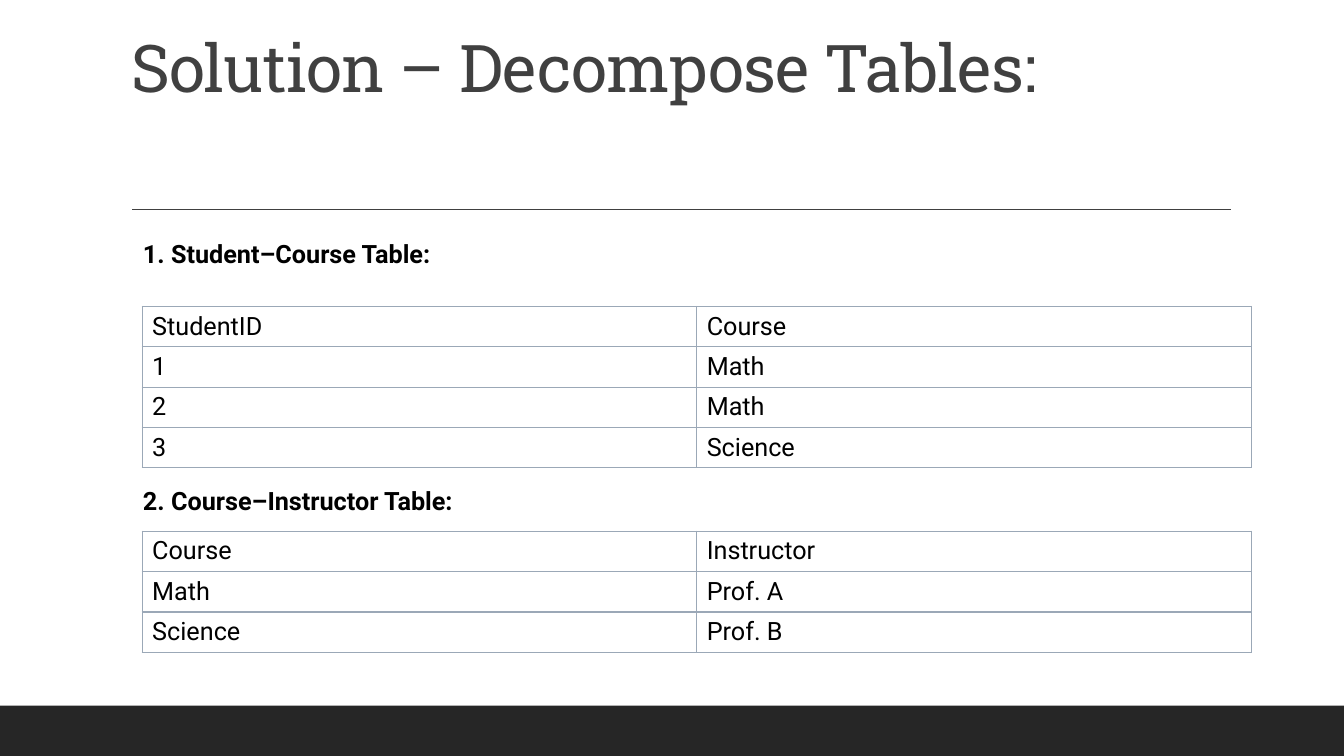
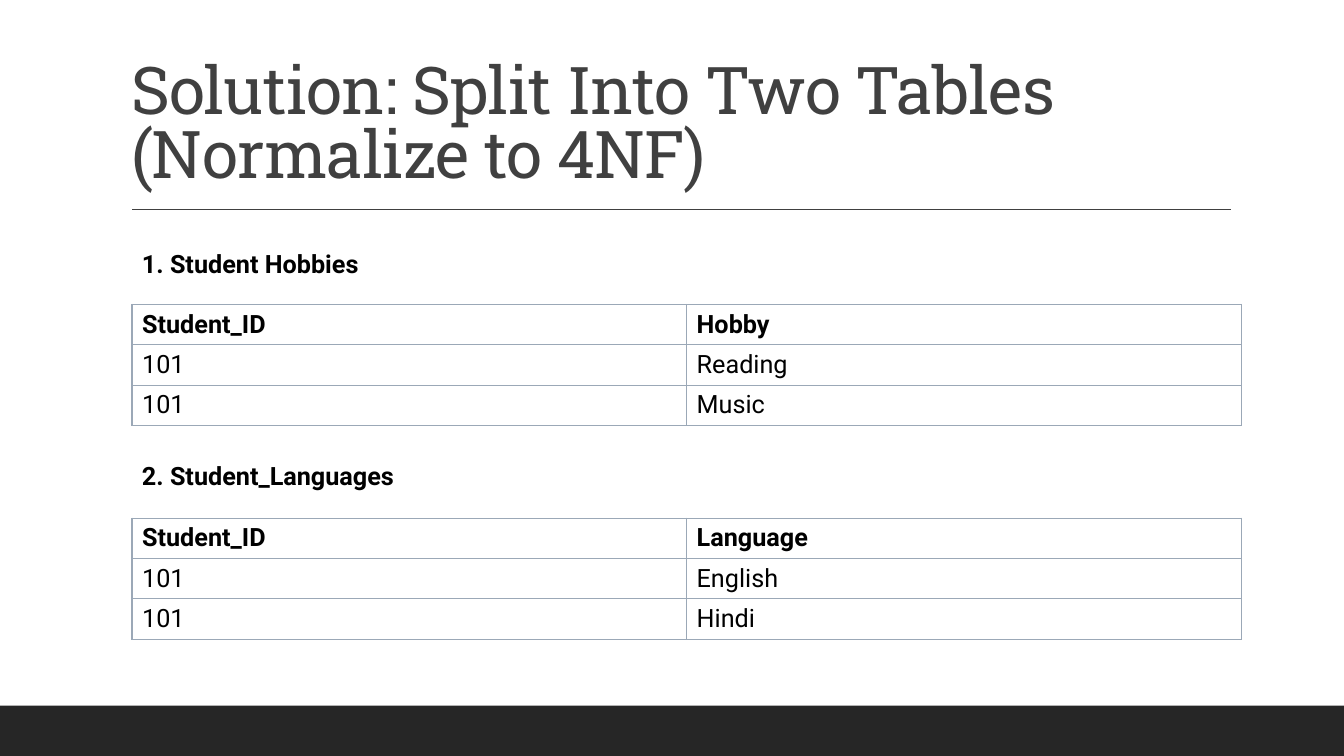
from lxml import etree
from pptx import Presentation
from pptx.dml.color import RGBColor
from pptx.enum.shapes import MSO_CONNECTOR, MSO_SHAPE
from pptx.enum.text import MSO_ANCHOR, MSO_AUTO_SIZE, PP_ALIGN
from pptx.oxml import parse_xml
from pptx.oxml.ns import nsdecls, qn
from pptx.util import Inches, Pt

BLACK = RGBColor(0x00, 0x00, 0x00)
TITLE_GRAY = RGBColor(0x40, 0x40, 0x40)
BAND_GRAY = RGBColor(0x26, 0x26, 0x26)
BORDER = RGBColor(0x9B, 0xA8, 0xB7)
TITLE_FONT, BODY_FONT = "Roboto Slab", "Roboto"

# Content: each section is (heading, heading left, heading top, table top, rows)
SLIDES = [
    {
        "title": "Solution – Decompose Tables:",
        "title_anchor": MSO_ANCHOR.TOP,
        "table_left": 1.41,
        "bold_header": False,
        "sections": [
            ("1. Student–Course Table:", 1.32, 2.32, 3.04,
             [("StudentID", "Course"), ("1", "Math"), ("2", "Math"), ("3", "Science")]),
            ("2. Course–Instructor Table:", 1.32, 4.77, 5.27,
             [("Course", "Instructor"), ("Math", "Prof. A"), ("Science", "Prof. B")]),
        ],
    },
    {
        "title": "Solution: Split Into Two Tables (Normalize to 4NF)",
        "title_anchor": MSO_ANCHOR.BOTTOM,
        "table_left": 1.31,
        "bold_header": True,
        "sections": [
            ("1. Student Hobbies", 1.31, 2.41, 3.02,
             [("Student_ID", "Hobby"), ("101", "Reading"), ("101", "Music")]),
            ("2. Student_Languages", 1.31, 4.52, 5.14,
             [("Student_ID", "Language"), ("101", "English"), ("101", "Hindi")]),
        ],
    },
]

SLIDE_WIDTH, SLIDE_HEIGHT = Inches(13.33), Inches(7.5)
BAND_HEIGHT = Inches(0.5)
TABLE_WIDTH, ROW_HEIGHT = Inches(11), Inches(0.39)


def style_text(para, name, size, color, bold=False):
    font = para.font
    font.name, font.size, font.bold = name, Pt(size), bold
    font.color.rgb = color


def add_frame(page):
    """Bottom band and the rule under the title."""
    band = page.shapes.add_shape(
        MSO_SHAPE.RECTANGLE, 0, SLIDE_HEIGHT - BAND_HEIGHT, SLIDE_WIDTH, BAND_HEIGHT)
    band.shadow.inherit = False
    band.fill.solid()
    band.fill.fore_color.rgb = BAND_GRAY
    band.line.fill.background()

    rule = page.shapes.add_connector(
        MSO_CONNECTOR.STRAIGHT, Inches(1.31), Inches(2.08), Inches(12.21), Inches(2.08))
    rule.line.color.rgb = TITLE_GRAY
    rule.line.width = Pt(1)
    etree.SubElement(rule._element.spPr, qn("a:effectLst"))


def set_title(page, text, anchor):
    title = page.shapes.title
    title.left, title.top = Inches(1.2), Inches(0.31)
    title.width, title.height = Inches(11), Inches(1.59)
    frame = title.text_frame
    frame.text = text
    frame.word_wrap = True
    frame.auto_size = MSO_AUTO_SIZE.NONE
    frame.vertical_anchor = anchor
    frame.margin_top, frame.margin_bottom = Inches(0.1), 0
    para = frame.paragraphs[0]
    para.alignment = PP_ALIGN.LEFT
    para.line_spacing = 0.81
    style_text(para, TITLE_FONT, 47, TITLE_GRAY)
    para.runs[0]._r.get_or_add_rPr().set("spc", "-50")


def add_heading(page, text, left, top):
    box = page.shapes.add_textbox(Inches(left), Inches(top), Inches(6.67), Inches(0.4))
    box.text_frame.word_wrap = True
    box.text_frame.text = text
    style_text(box.text_frame.paragraphs[0], BODY_FONT, 18, BLACK, bold=True)


def format_cell(cell, text, bold):
    cell.text = text
    cell.vertical_anchor = MSO_ANCHOR.MIDDLE
    style_text(cell.text_frame.paragraphs[0], BODY_FONT, 18, BLACK, bold)
    # Borders come before the fill in the cell properties
    properties = cell._tc.get_or_add_tcPr()
    for side in ("lnL", "lnR", "lnT", "lnB"):
        properties.append(parse_xml(
            f'<a:{side} {nsdecls("a")} w="{Pt(1)}"><a:solidFill>'
            f'<a:srgbClr val="{BORDER}"/></a:solidFill></a:{side}>'))
    cell.fill.background()


def add_grid(page, rows, left, top, bold_header):
    grid = page.shapes.add_table(
        len(rows), len(rows[0]), Inches(left), Inches(top),
        TABLE_WIDTH, ROW_HEIGHT * len(rows)).table
    grid.first_row = grid.horz_banding = False
    for r, values in enumerate(rows):
        for c, value in enumerate(values):
            format_cell(grid.cell(r, c), value, bold_header and r == 0)


def main():
    deck = Presentation()
    deck.slide_width, deck.slide_height = SLIDE_WIDTH, SLIDE_HEIGHT
    title_only = deck.slide_layouts[5]
    for content in SLIDES:
        page = deck.slides.add_slide(title_only)
        add_frame(page)
        set_title(page, content["title"], content["title_anchor"])
        for heading, left, top, table_top, rows in content["sections"]:
            add_heading(page, heading, left, top)
            add_grid(page, rows, content["table_left"], table_top, content["bold_header"])
    deck.save("out.pptx")


if __name__ == "__main__":
    main()
